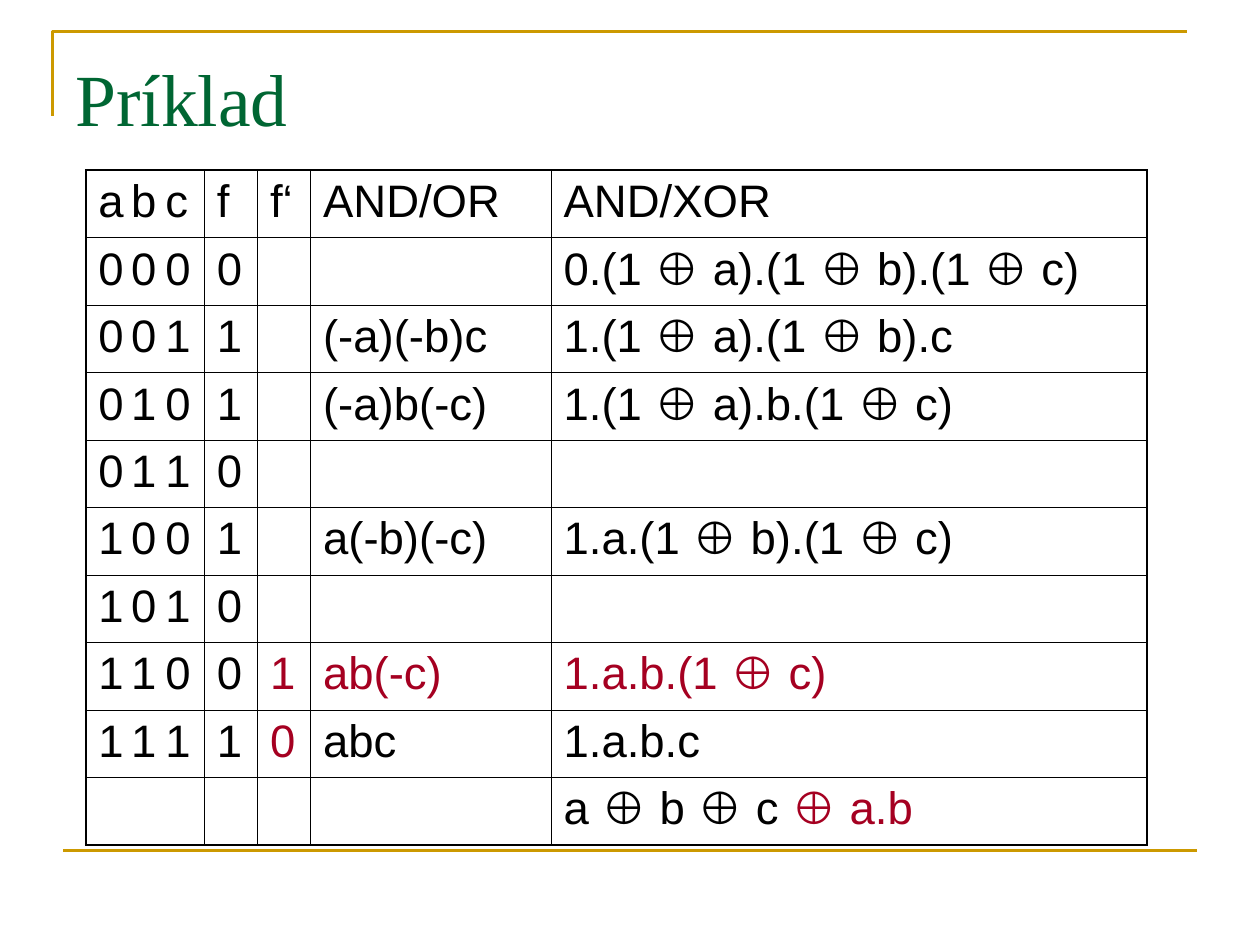
from dataclasses import dataclass

from lxml import etree
from pptx import Presentation
from pptx import util as u
from pptx.dml.color import RGBColor
from pptx.enum import shapes, text
from pptx.oxml import ns


@dataclass(frozen=True)
class Theme:
    ink: str = "000000"
    accent: str = "A50021"
    title: str = "006633"
    rule: str = "CC9900"
    title_font: str = "Times New Roman"
    body_font: str = "Arial"
    title_size: float = 42
    body_size: float = 26
    rule_width: float = 1.5
    outer_border: float = 1.08
    inner_border: float = 0.45


theme = Theme()


def add_span(para, words, font, size, color):
    span = para.add_run()
    span.text = words
    span.font.name = font
    span.font.size = u.Pt(size)
    span.font.color.rgb = RGBColor.from_string(color)


def set_borders(cell, widths):
    """Draw left, right, top and bottom edges; a width of 0 hides the edge."""
    properties = cell._tc.get_or_add_tcPr()
    for position, (side, width) in enumerate(zip("LRTB", widths)):
        line = etree.Element(ns.qn(f"a:ln{side}"), w=str(u.Pt(width)))
        if width:
            fill = etree.SubElement(line, ns.qn("a:solidFill"))
            etree.SubElement(fill, ns.qn("a:srgbClr"), val=theme.ink)
        else:
            etree.SubElement(line, ns.qn("a:noFill"))
        properties.insert(position, line)


deck = Presentation()
deck.slide_width, deck.slide_height = u.Cm(25.4), u.Cm(19.05)
page = deck.slides.add_slide(deck.slide_layouts[6])

# Corner rule above the title and rule at the foot
left, top = u.Cm(1.06), u.Cm(0.63)
builder = page.shapes.build_freeform(left, u.Cm(2.33))
builder.add_line_segments([(left, top), (u.Cm(23.92), top)], close=False)
corner = builder.convert_to_shape()
corner.shadow.inherit = False
corner.fill.background()

foot = page.shapes.add_connector(
    shapes.MSO_CONNECTOR.STRAIGHT, u.Cm(1.27), u.Cm(17.14), u.Cm(24.13), u.Cm(17.14))
etree.SubElement(foot._element.spPr, ns.qn("a:effectLst"))

for rule in (corner, foot):
    rule.line.color.rgb = RGBColor.from_string(theme.rule)
    rule.line.width = u.Pt(theme.rule_width)
# The effect list must follow the line
foot._element.spPr.append(foot._element.spPr.find(ns.qn("a:effectLst")))

# Title
box = page.shapes.add_textbox(u.Cm(1.27), u.Cm(0.76), u.Cm(22.86), u.Cm(3.18))
frame = box.text_frame
frame.word_wrap = True
frame.vertical_anchor = text.MSO_ANCHOR.TOP
frame.margin_top = u.Cm(0.31)
add_span(frame.paragraphs[0], "Príklad", theme.title_font, theme.title_size, theme.title)

# Truth table: a, b, c, f, f‘, AND/OR, AND/XOR; words after "|" take the accent
rows = [
    ("a", "b", "c", "f", "f‘", "AND/OR", "AND/XOR"),
    ("0", "0", "0", "0", "", "", "0.(1 ⊕ a).(1 ⊕ b).(1 ⊕ c)"),
    ("0", "0", "1", "1", "", "(-a)(-b)c", "1.(1 ⊕ a).(1 ⊕ b).c"),
    ("0", "1", "0", "1", "", "(-a)b(-c)", "1.(1 ⊕ a).b.(1 ⊕ c)"),
    ("0", "1", "1", "0", "", "", ""),
    ("1", "0", "0", "1", "", "a(-b)(-c)", "1.a.(1 ⊕ b).(1 ⊕ c)"),
    ("1", "0", "1", "0", "", "", ""),
    ("1", "1", "0", "0", "|1", "|ab(-c)", "|1.a.b.(1 ⊕ c)"),
    ("1", "1", "1", "1", "|0", "abc", "1.a.b.c"),
    ("", "", "", "", "", "", "a ⊕ b ⊕ c |⊕ a.b"),
]
column_widths = [0.66, 0.69, 1.04, 1.07, 1.07, 4.85, 12.01]
row_height = 1.36
last_row, last_column = len(rows) - 1, len(column_widths) - 1
last_input = 2

table = page.shapes.add_table(
    len(rows), len(column_widths), u.Cm(1.73), u.Cm(3.43),
    u.Cm(sum(column_widths)), u.Cm(row_height * len(rows))).table
table.first_row = table.horz_banding = False
for column, width in zip(table.columns, column_widths):
    column.width = u.Cm(width)

for r, row in enumerate(rows):
    table.rows[r].height = u.Cm(row_height)
    for c, words in enumerate(row):
        cell = table.cell(r, c)
        cell.fill.background()
        inner, outer = theme.inner_border, theme.outer_border
        set_borders(cell, (
            outer if c == 0 else 0 if c <= last_input else inner,
            outer if c == last_column else 0 if c < last_input else inner,
            outer if r == 0 else inner,
            outer if r == last_row else inner))
        para = cell.text_frame.paragraphs[0]
        for part, color in zip(words.split("|"), (theme.ink, theme.accent)):
            if part:
                add_span(para, part, theme.body_font, theme.body_size, color)

deck.save("out.pptx")
